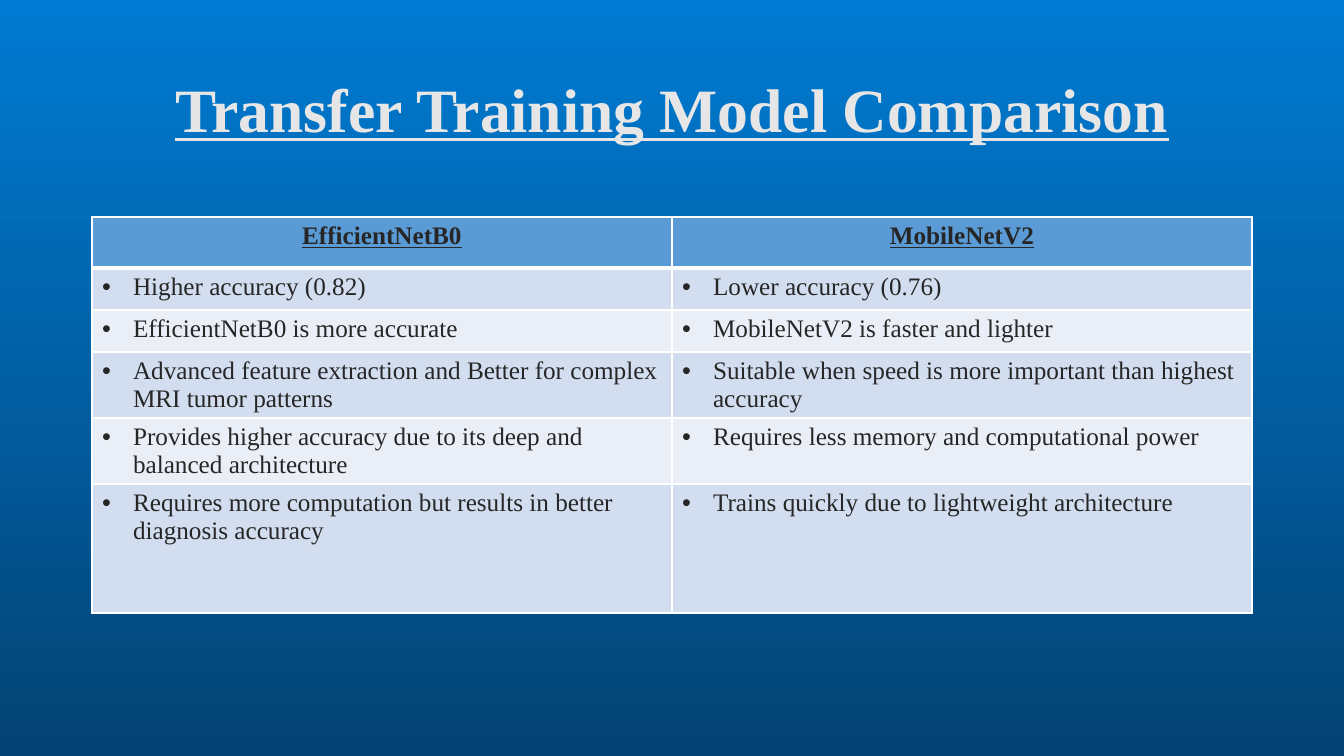
from lxml import etree
from pptx import Presentation
from pptx.dml.color import RGBColor
from pptx.enum.text import MSO_ANCHOR, MSO_AUTO_SIZE, PP_ALIGN
from pptx.oxml.ns import qn
from pptx.util import Emu, Pt

CENTER = PP_ALIGN.CENTER
LEFT = PP_ALIGN.LEFT
MIDDLE = MSO_ANCHOR.MIDDLE
NO_AUTOFIT = MSO_AUTO_SIZE.NONE
TITLE_ONLY = 5
SLIDE_WIDTH, SLIDE_HEIGHT = 1344, 756
SCALE = 12192000 / SLIDE_WIDTH

COMPARISON = [
    ("EfficientNetB0", "MobileNetV2"),
    ("Higher accuracy (0.82)", "Lower accuracy (0.76)"),
    ("EfficientNetB0 is more accurate", "MobileNetV2 is faster and lighter"),
    ("Advanced feature extraction and Better for complex MRI tumor patterns",
     "Suitable when speed is more important than highest accuracy"),
    ("Provides higher accuracy due to its deep and balanced architecture",
     "Requires less memory and computational power"),
    ("Requires more computation but results in better diagnosis accuracy",
     "Trains quickly due to lightweight architecture"),
]
ROW_HEIGHTS = [51, 42, 42, 66, 66, 129]


def px(length):
    return Emu(round(length * SCALE))


def color(value):
    return RGBColor.from_string(value)


class SlideBuilder:
    """Draws styled elements on the current slide."""

    font_name = "Times New Roman"
    title_color = "E7E6E6"
    text_color = "262626"
    header_fill = "5B9BD5"
    band_fills = ("EAEFF7", "D2DEEF")
    border_color = "FFFFFF"
    bullet_indent = 31

    def __init__(self, slide):
        self.slide = slide

    def background(self, *stops):
        fill = self.slide.background.fill
        fill.gradient()
        fill.gradient_angle = 270
        for stop, value in zip(fill.gradient_stops, stops):
            stop.color.rgb = color(value)

    def run(self, paragraph, text, size, value, heading=False):
        run = paragraph.add_run()
        run.text = text
        font = run.font
        font.name = self.font_name
        font.size = Pt(size)
        font.color.rgb = color(value)
        font.bold = heading
        font.underline = heading

    def title(self, text, left, top, width, height):
        shape = self.slide.shapes.title
        shape.left, shape.top = px(left), px(top)
        shape.width, shape.height = px(width), px(height)
        frame = shape.text_frame
        frame.word_wrap = True
        frame.auto_size = NO_AUTOFIT
        frame.vertical_anchor = MIDDLE
        paragraph = frame.paragraphs[0]
        paragraph.alignment = CENTER
        paragraph.line_spacing = 0.9
        self.run(paragraph, text, 44, self.title_color, heading=True)

    def bullet(self, paragraph):
        properties = paragraph._p.get_or_add_pPr()
        indent = px(self.bullet_indent)
        properties.set("marL", str(indent))
        properties.set("indent", str(-indent))
        etree.SubElement(properties, qn("a:buFont"), typeface="Arial")
        etree.SubElement(properties, qn("a:buChar"), char="•")

    def borders(self, cell, top, bottom):
        properties = cell._tc.get_or_add_tcPr()
        for side, points in (("L", 1), ("R", 1), ("T", top), ("B", bottom)):
            line = etree.SubElement(properties, qn(f"a:ln{side}"), w=str(Pt(points)))
            fill = etree.SubElement(line, qn("a:solidFill"))
            etree.SubElement(fill, qn("a:srgbClr"), val=self.border_color)

    def cell(self, cell, text, row):
        heading = row == 0
        self.borders(cell, top=3 if row == 1 else 1, bottom=3 if heading else 1)
        cell.fill.solid()
        cell.fill.fore_color.rgb = color(self.header_fill if heading else self.band_fills[row % 2])
        paragraph = cell.text_frame.paragraphs[0]
        paragraph.alignment = CENTER if heading else LEFT
        if not heading:
            self.bullet(paragraph)
        self.run(paragraph, text, 18, self.text_color, heading)

    def table(self, rows, heights, left, top, width):
        columns = len(rows[0])
        table = self.slide.shapes.add_table(
            len(rows), columns, px(left), px(top), px(width), px(sum(heights))).table
        for column in table.columns:
            column.width = px(width / columns)
        for index, (texts, height) in enumerate(zip(rows, heights)):
            table.rows[index].height = px(height)
            for column, text in enumerate(texts):
                self.cell(table.cell(index, column), text, index)


def main():
    presentation = Presentation()
    presentation.slide_width = px(SLIDE_WIDTH)
    presentation.slide_height = px(SLIDE_HEIGHT)
    slide = presentation.slides.add_slide(presentation.slide_layouts[TITLE_ONLY])
    builder = SlideBuilder(slide)
    builder.background("007BD3", "034373")
    builder.title("Transfer Training Model Comparison", 92, 40, 1160, 146)
    builder.table(COMPARISON, ROW_HEIGHTS, 92, 217, 1160)
    presentation.save("out.pptx")


if __name__ == "__main__":
    main()
